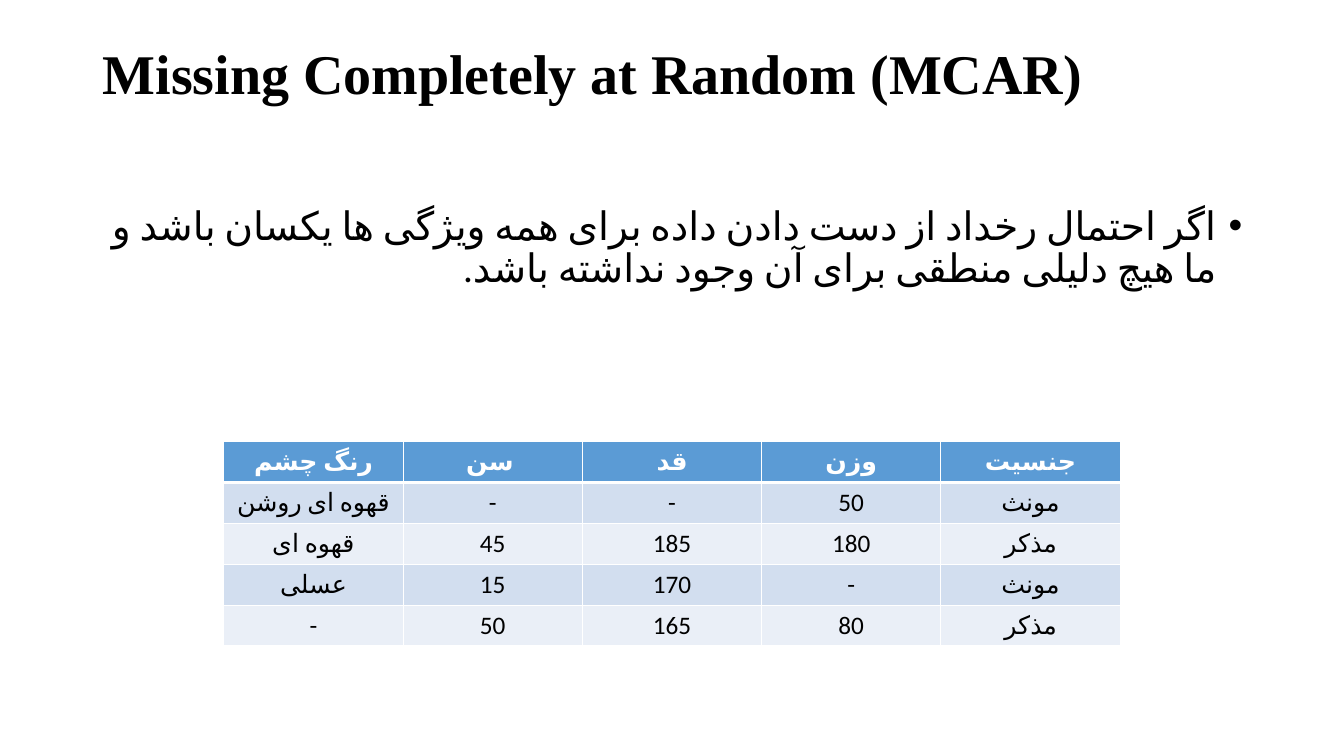
from lxml import etree
from pptx import Presentation
from pptx import util as u
from pptx.dml.color import RGBColor
from pptx.enum import lang, text
from pptx.oxml import ns

BLACK = RGBColor(0x00, 0x00, 0x00)
WHITE = RGBColor(0xFF, 0xFF, 0xFF)
HEADER_BLUE = RGBColor(0x5B, 0x9B, 0xD5)
BAND_DARK = RGBColor(0xD2, 0xDE, 0xEF)
BAND_LIGHT = RGBColor(0xEA, 0xEF, 0xF7)

TITLE = "Missing Completely at Random (MCAR)"
DEFINITION = (
    "اگر احتمال رخداد از دست دادن داده برای همه ویژگی ها یکسان باشد "
    "و ما هیچ دلیلی منطقی برای آن وجود نداشته باشد."
)
RECORDS = [
    ["رنگ چشم", "سن ", "قد", "وزن", "جنسیت"],
    ["قهوه ای روشن", "-", "-", "50", "مونث"],
    ["قهوه ای", "45", "185", "180", "مذکر"],
    ["عسلی", "15", "170", "-", "مونث"],
    ["-", "50", "165", "80", "مذکر"],
]


def place(shape, box):
    shape.left, shape.top, shape.width, shape.height = map(u.Inches, box)


def style_font(para, name, size, color, bold=False):
    for span in para.runs:
        span.font.name = name
        span.font.size = u.Pt(size)
        span.font.color.rgb = color
        span.font.bold = bold
        if not span.text.isascii():
            span.font.language_id = lang.MSO_LANGUAGE_ID.FARSI
        properties = span._r.get_or_add_rPr()
        etree.SubElement(properties, ns.qn("a:cs"), typeface=name)


def fill_title(title, box):
    place(title, box)
    frame = title.text_frame
    frame.text = TITLE
    frame.auto_size = text.MSO_AUTO_SIZE.NONE
    frame.vertical_anchor = text.MSO_ANCHOR.TOP
    frame.margin_top = u.Inches(0.06)
    para = frame.paragraphs[0]
    para.alignment = text.PP_ALIGN.LEFT
    para.line_spacing = 0.9
    style_font(para, "Times New Roman", 40, BLACK, True)


def fill_definition(body, box):
    place(body, box)
    frame = body.text_frame
    frame.text = DEFINITION
    frame.auto_size = text.MSO_AUTO_SIZE.NONE
    para = frame.paragraphs[0]
    para.alignment = text.PP_ALIGN.RIGHT
    para.line_spacing = 0.9
    para.space_before = u.Pt(10)
    indent = u.Inches(0.25)
    properties = para._p.get_or_add_pPr()
    for key, value in {"marL": indent, "indent": -indent, "rtl": 1}.items():
        properties.set(key, str(value))
    style_font(para, "Calibri", 28, BLACK)


def add_borders(cell, bottom_width):
    properties = cell._tc.get_or_add_tcPr()
    widths = {"lnL": 1, "lnR": 1, "lnT": 1, "lnB": bottom_width}
    for index, (side, width) in enumerate(widths.items()):
        line = etree.Element(ns.qn(f"a:{side}"), w=str(u.Pt(width)))
        fill = etree.SubElement(line, ns.qn("a:solidFill"))
        etree.SubElement(fill, ns.qn("a:srgbClr"), val=str(WHITE))
        properties.insert(index, line)


def add_records(page, box):
    rows, columns = len(RECORDS), len(RECORDS[0])
    table = page.shapes.add_table(rows, columns, *map(u.Inches, box)).table
    for row, record in enumerate(RECORDS):
        header = row == 0
        band = HEADER_BLUE if header else (BAND_LIGHT, BAND_DARK)[row % 2]
        for column, value in enumerate(record):
            cell = table.cell(row, column)
            cell.text = value
            cell.fill.solid()
            cell.fill.fore_color.rgb = band
            add_borders(cell, 3 if header else 1)
            para = cell.text_frame.paragraphs[0]
            para.alignment = text.PP_ALIGN.CENTER
            style_font(para, "Calibri", 18, WHITE if header else BLACK, header)


def main():
    deck = Presentation()
    deck.slide_width, deck.slide_height = u.Inches(13.33), u.Inches(7.5)
    page = deck.slides.add_slide(deck.slide_layouts[1])
    fill_title(page.shapes.title, (0.92, 0.4, 11.5, 1.45))
    fill_definition(page.placeholders[1], (0.92, 2, 11.5, 4.76))
    add_records(page, (2.22, 4.38, 8.89, 2.03))
    deck.save("out.pptx")


if __name__ == "__main__":
    main()
